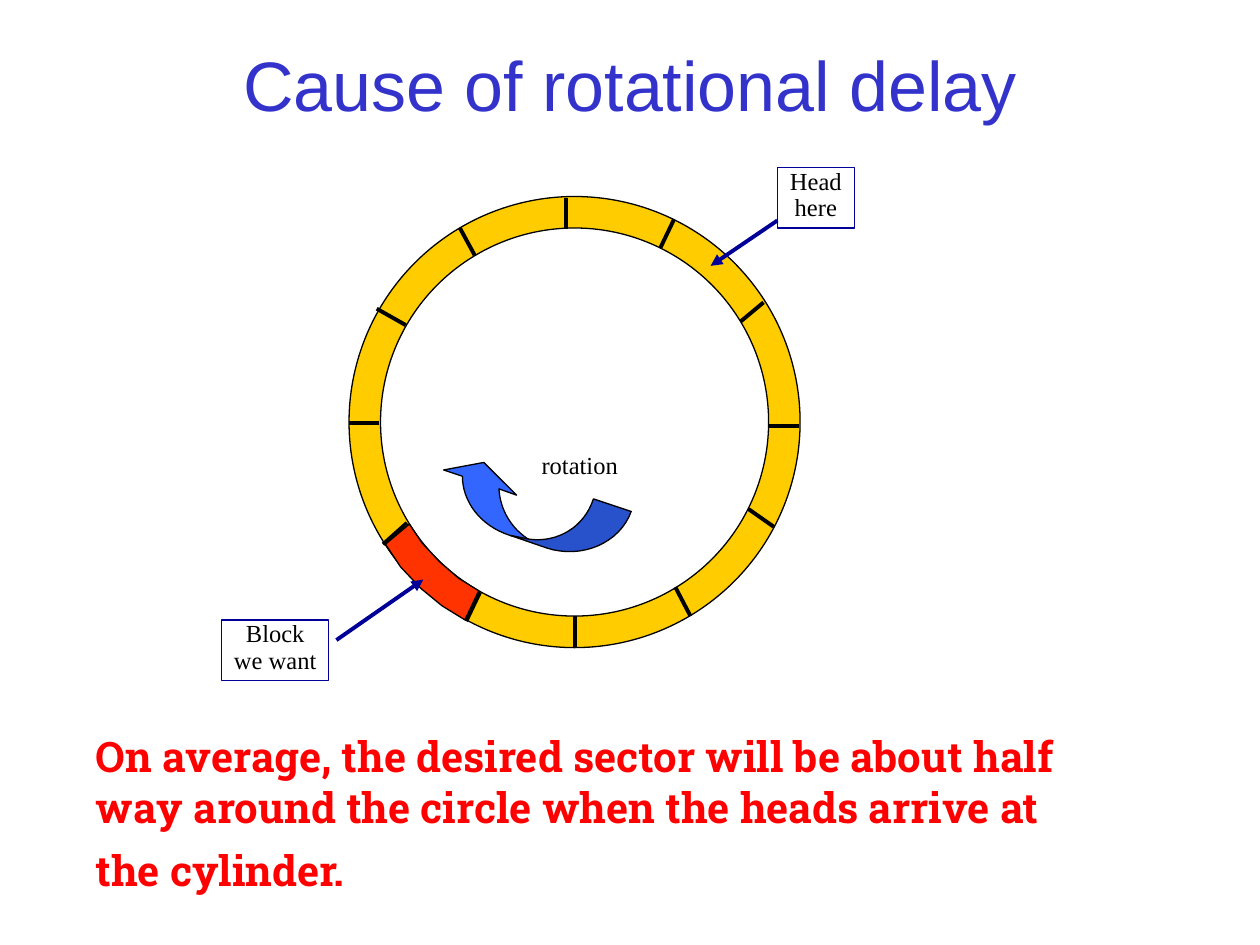
from lxml import etree
from pptx import Presentation
from pptx.dml.color import RGBColor
from pptx.enum import shapes, text
from pptx.oxml import ns
from pptx.util import Inches, Pt

COLORS = {"title": "3333CC", "message": "FF0000", "track": "FFCC00", "hole": "FFFFFF",
          "ink": "000000", "callout": "000099", "block": "FF3300",
          "arrow": "3366FF", "arrow_shade": "2851CC"}
TITLE = "Cause of rotational delay"
MESSAGE = ["On average, the desired sector will be about half",
           "way around the circle when the heads arrive at",
           "the cylinder."]
CALLOUTS = [
    (["Head", "here"], (6.17, 1.33, 0.61, 0.48), (6.17, 1.75, 5.64, 2.11)),
    (["Block", "we want"], (1.76, 4.92, 0.85, 0.48), (2.67, 5.08, 3.36, 4.6)),
]
CENTER = (4.56, 3.35)
RINGS = [(1.79, "track"), (1.54, "hole")]
SECTOR_MARKS = [
    (4.56, 4.89, 4.56, 5.14), (4.49, 1.57, 4.49, 1.82), (6.34, 3.38, 6.1, 3.38),
    (5.94, 4.04, 6.14, 4.18), (3.01, 3.36, 2.77, 3.36), (3.23, 4.15, 3.04, 4.32),
    (3.81, 4.7, 3.7, 4.93), (5.36, 4.66, 5.48, 4.89), (6.06, 2.4, 5.88, 2.55),
    (5.35, 1.74, 5.24, 1.97), (3.65, 1.81, 3.77, 2.03), (2.99, 2.45, 3.22, 2.58),
]
WANTED_BLOCK = [(3.06, 4.32), (3.18, 4.5), (3.34, 4.67), (3.51, 4.81), (3.69, 4.92),
                (3.8, 4.69), (3.64, 4.59), (3.49, 4.46), (3.35, 4.31), (3.25, 4.16)]
ARROW_HEAD = [(3.52, 3.73), (3.84, 3.67), (4.1, 3.93), (3.96, 3.88),
              (3.97, 4.05, 4.06, 4.2, 4.21, 4.29), (4.05, 4.25),
              (3.8, 4.17, 3.67, 3.97, 3.67, 3.78)]
ARROW_TAIL = [(4.71, 3.96), (5.01, 4.06), (4.92, 4.31, 4.62, 4.44, 4.34, 4.35),
              (4.05, 4.25), (4.2, 4.28), (4.43, 4.31, 4.64, 4.18, 4.71, 3.96)]


def color(name):
    return RGBColor.from_string(COLORS[name])


def style(shape, fill, line="ink"):
    shape.shadow.inherit = False
    if fill:
        shape.fill.solid()
        shape.fill.fore_color.rgb = color(fill)
    else:
        shape.fill.background()
    shape.line.color.rgb = color(line)
    shape.line.width = Pt(0.75)


def write(shape, lines, font, size, ink, align=text.PP_ALIGN.LEFT, bold=False, before=0, spacing=1.0):
    frame = shape.text_frame
    frame.word_wrap = False
    frame.vertical_anchor = text.MSO_ANCHOR.TOP
    frame.text = "\n".join(lines)
    for paragraph in frame.paragraphs:
        paragraph.alignment = align
        paragraph.space_before = Pt(before)
        paragraph.line_spacing = spacing
        paragraph.font.name = font
        paragraph.font.size = Pt(size)
        paragraph.font.bold = bold
        paragraph.font.color.rgb = color(ink)


def add_line(slide, ends, ink, arrow=False):
    connector = slide.shapes.add_connector(
        shapes.MSO_CONNECTOR.STRAIGHT, *[Inches(value) for value in ends])
    connector.line.color.rgb = color(ink)
    connector.line.width = Pt(2.25)
    properties = connector._element.spPr
    if arrow:
        outline = properties.find(ns.qn("a:ln"))
        etree.SubElement(outline, ns.qn("a:tailEnd"), type="triangle")
    etree.SubElement(properties, ns.qn("a:effectLst"))


def flatten(outline, steps=16):
    points = []
    for part in outline:
        if len(part) == 2:
            points.append(part)
            continue
        controls = [points[-1], part[:2], part[2:4], part[4:]]
        for step in range(1, steps + 1):
            t = step / steps
            weights = ((1 - t) ** 3, 3 * t * (1 - t) ** 2, 3 * t * t * (1 - t), t ** 3)
            points.append(tuple(sum(w * c[axis] for w, c in zip(weights, controls))
                                for axis in (0, 1)))
    return points


def add_outline(slide, outline, fill):
    points = [(Inches(x), Inches(y)) for x, y in flatten(outline)]
    builder = slide.shapes.build_freeform(*points[0])
    builder.add_line_segments(points[1:], close=True)
    style(builder.convert_to_shape(), fill)


def main():
    presentation = Presentation()
    presentation.slide_width, presentation.slide_height = Inches(10), Inches(7.5)
    slide = presentation.slides.add_slide(presentation.slide_layouts[5])

    title = slide.shapes.title
    title.left, title.top, title.width, title.height = map(Inches, (0.75, 0.25, 8.5, 0.83))
    write(title, [TITLE], "Arial", 40, "title", text.PP_ALIGN.CENTER)
    title.text_frame.vertical_anchor = text.MSO_ANCHOR.MIDDLE

    message = slide.shapes.add_textbox(*map(Inches, (0.66, 5.75, 8.69, 1.44)))
    write(message, MESSAGE, "Roboto Slab", 24, "message", bold=True)
    message.text_frame.paragraphs[-1].space_before = Pt(7.5)

    for radius, fill in RINGS:
        corner = [Inches(middle - radius) for middle in CENTER]
        ring = slide.shapes.add_shape(
            shapes.MSO_SHAPE.OVAL, *corner, Inches(2 * radius), Inches(2 * radius))
        style(ring, fill)
    for ends in SECTOR_MARKS:
        add_line(slide, ends, "ink")

    add_outline(slide, ARROW_HEAD, "arrow")
    add_outline(slide, ARROW_TAIL, "arrow_shade")
    rotation = slide.shapes.add_textbox(*map(Inches, (4.2, 3.52, 0.9, 0.34)))
    write(rotation, ["rotation"], "Times New Roman", 14, "ink", before=3.5)

    add_outline(slide, WANTED_BLOCK, "block")
    for lines, box, pointer in CALLOUTS:
        label = slide.shapes.add_shape(shapes.MSO_SHAPE.RECTANGLE, *map(Inches, box))
        style(label, None, "callout")
        write(label, lines, "Times New Roman", 14, "ink",
              text.PP_ALIGN.CENTER, before=3.5, spacing=0.7)
        add_line(slide, pointer, "callout", arrow=True)

    presentation.save("out.pptx")


if __name__ == "__main__":
    main()
